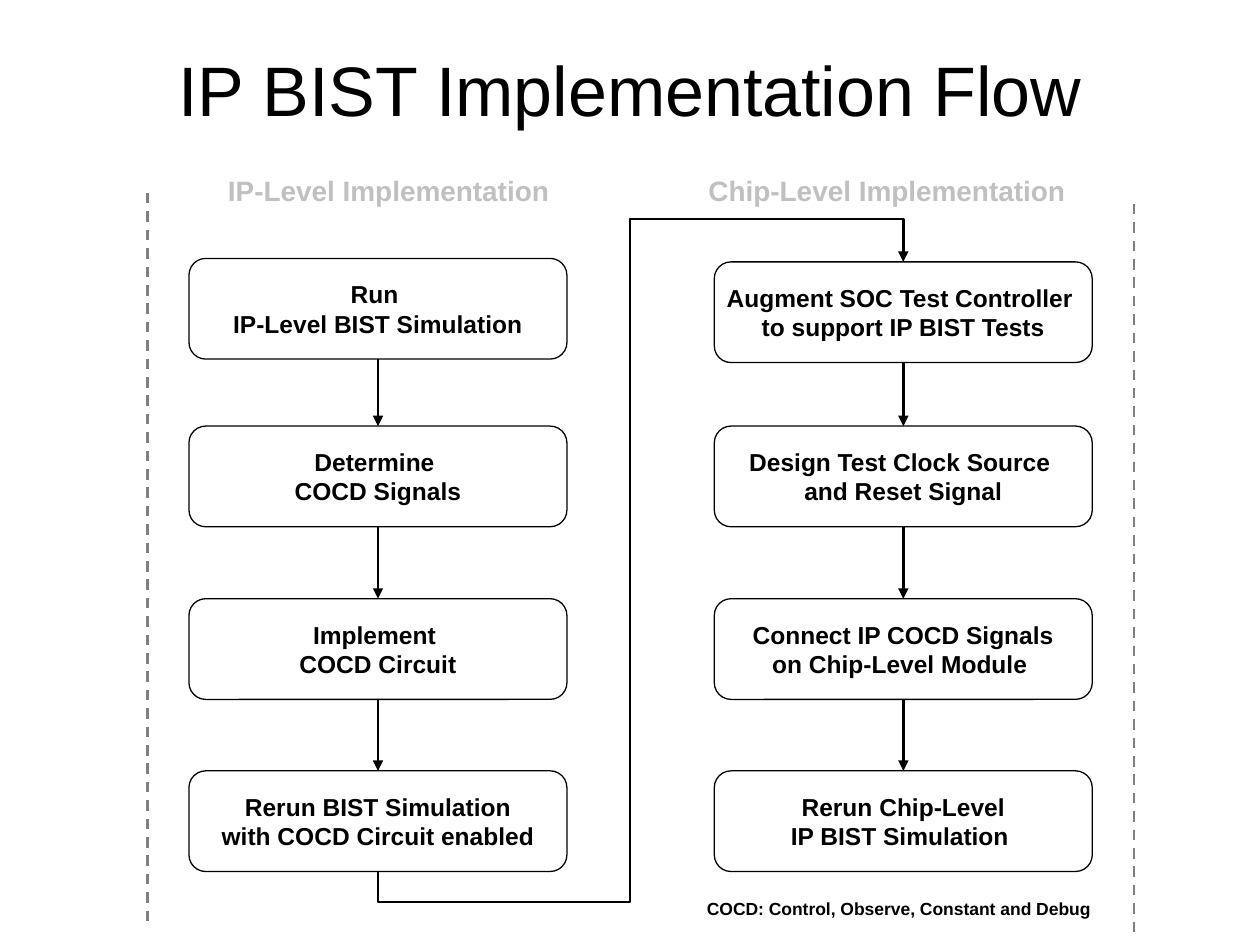
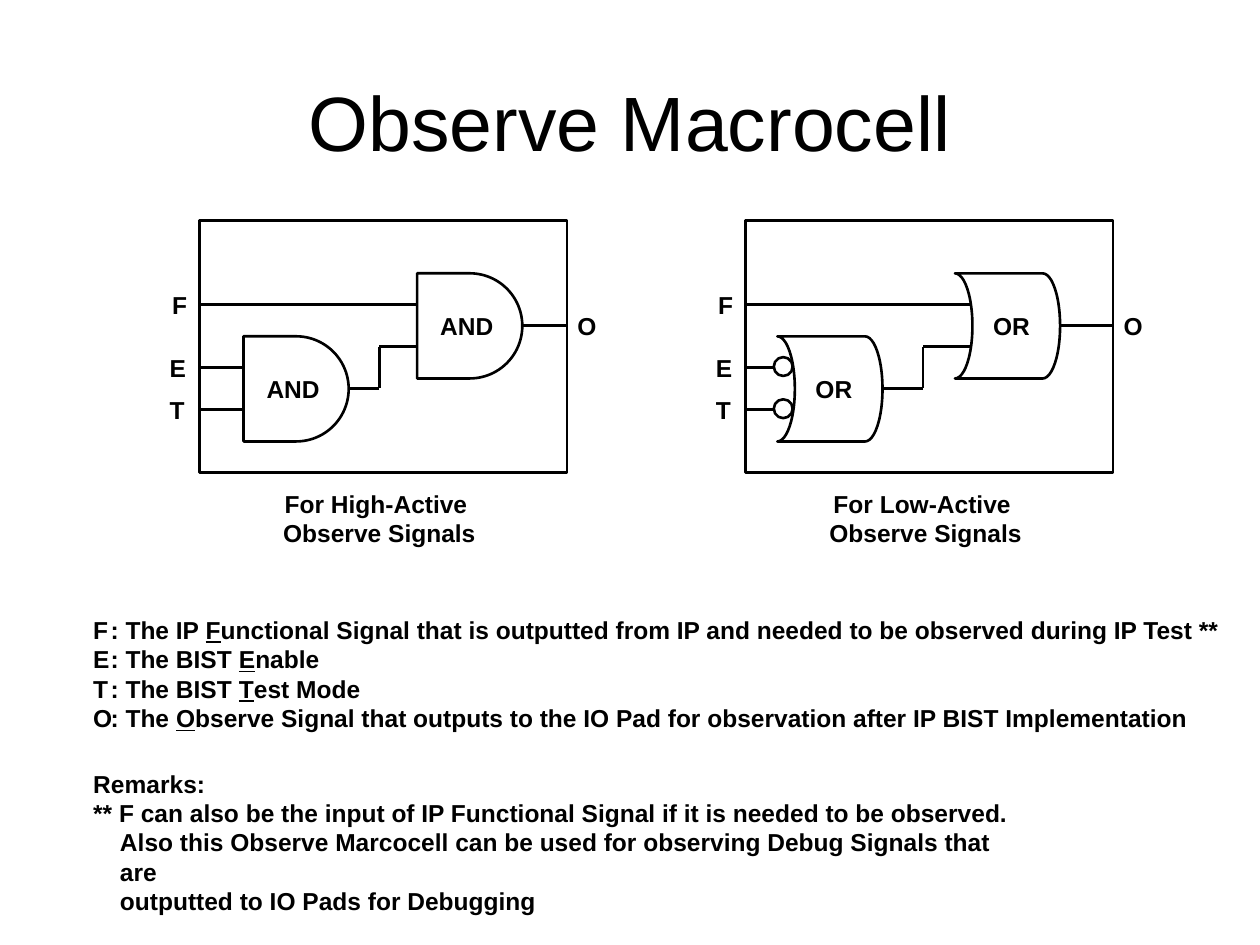
from pptx import Presentation
from pptx.dml.color import RGBColor
from pptx.enum.dml import MSO_LINE
from pptx.enum.shapes import MSO_CONNECTOR, MSO_SHAPE
from pptx.enum.text import MSO_ANCHOR, PP_ALIGN
from pptx.oxml.ns import qn
from pptx.oxml.xmlchemy import OxmlElement
from pptx.util import Cm, Pt

STRAIGHT, ELBOW = MSO_CONNECTOR.STRAIGHT, MSO_CONNECTOR.ELBOW
STEP, FRAME, BUBBLE = MSO_SHAPE.FLOWCHART_ALTERNATE_PROCESS, MSO_SHAPE.RECTANGLE, MSO_SHAPE.OVAL
AND_GATE, OR_GATE = MSO_SHAPE.FLOWCHART_DELAY, MSO_SHAPE.FLOWCHART_STORED_DATA
LEFT, CENTER = PP_ALIGN.LEFT, PP_ALIGN.CENTER
TOP, MIDDLE = MSO_ANCHOR.TOP, MSO_ANCHOR.MIDDLE
BOX_TOP, BOX_BOTTOM = 0, 2

FONT = "Arial"
COLORS = {"ink": "000000", "paper": "FFFFFF", "heading": "C0C0C0", "divider": "808080"}

# Content of the flow slide; all positions are in centimetres
FLOW_TITLE = "IP BIST Implementation Flow"
FLOW_COLUMNS = [
    {"heading": "IP-Level Implementation", "heading_at": (2.97, 9.73),
     "left": 3.81, "tops": (5.21, 8.59, 12.07, 15.54),
     "steps": [("Run ", "IP-Level BIST Simulation"),
               ("Determine ", "COCD Signals"),
               ("Implement ", "COCD Circuit"),
               ("Rerun BIST Simulation", "with COCD Circuit enabled")]},
    {"heading": "Chip-Level Implementation", "heading_at": (12.9, 9.96),
     "left": 14.4, "tops": (5.28, 8.59, 12.07, 15.54),
     "steps": [("Augment SOC Test Controller ", "to support IP BIST Tests"),
               ("Design Test Clock Source ", "and Reset Signal"),
               ("Connect IP COCD Signals", "on Chip-Level Module "),
               ("Rerun Chip-Level", "IP BIST Simulation ")]},
]
STEP_W, STEP_H = 7.62, 2.03
DIVIDERS = [(2.97, 3.89), (22.86, 4.11)]
DIVIDER_LENGTH = 14.73
LINK_BOTTOM, LINK_MIDDLE, LINK_TOP = 18.19, 12.7, 4.42
ABBREVIATION = "COCD: Control, Observe, Constant and Debug"

# Content of the macrocell slide; x positions count from the frame's left side
CELL_TITLE = "Observe Macrocell"
CELLS = [
    {"left": 4.02, "gate": AND_GATE, "label": "AND", "label_shift": -0.06, "rotation": 0,
     "input_gate": 0.89, "output_gate": 4.39, "junction": 3.63, "bubbles": False,
     "caption": ("For High-Active ", "Observe Signals")},
    {"left": 15.03, "gate": OR_GATE, "label": "OR", "label_shift": 0.08, "rotation": 180,
     "input_gate": 0.64, "output_gate": 4.22, "junction": 3.58, "bubbles": True,
     "caption": ("For Low-Active ", "Observe Signals")},
]
FRAME_TOP, FRAME_W, FRAME_H = 4.45, 7.41, 5.08
GATE, BUBBLE_SIZE = 2.12, 0.38
INPUT_GATE_TOP, OUTPUT_GATE_TOP = 6.78, 5.51
WIRE_Y = {"F": 6.14, "E": 7.41, "T": 8.26, "link in": 7.83, "link out": 6.99, "O": 6.56}
PIN_LABELS = [("F", -0.8, 0.81), ("E", -0.85, 0.84), ("T", -0.85, 0.81), ("O", 7.37, 0.89)]
PIN_LABEL_RISE = 0.42
LEGEND = [
    ("F", ": The IP ", "F", "unctional Signal that is outputted from IP and needed "
                            "to be observed during IP Test **"),
    ("E", ": The BIST ", "E", "nable"),
    ("T", ": The BIST ", "T", "est Mode"),
    ("O", ": The ", "O", "bserve Signal that outputs to the IO Pad for observation "
                         "after IP BIST Implementation"),
]
REMARKS = [
    "Remarks:",
    "** F can also be the input of IP Functional Signal if it is needed to be observed.",
    "Also this Observe Marcocell can be used for observing Debug Signals that are",
    "outputted to IO Pads for Debugging",
]
REMARK_INDENT = 0.54


def rgb(name):
    return RGBColor.from_string(COLORS[name])


def write(shape, lines, size=14, align=CENTER, anchor=TOP, color="ink", bold=True, wrap=False):
    """Fill a shape with paragraphs; a line is a string or (before, underlined, after)."""
    frame = shape.text_frame
    frame.word_wrap = wrap
    frame.vertical_anchor = anchor
    for number, line in enumerate(lines):
        paragraph = frame.add_paragraph() if number else frame.paragraphs[0]
        paragraph.alignment = align
        font = paragraph.font
        font.name, font.size, font.bold = FONT, Pt(size), bold
        font.color.rgb = rgb(color)
        parts = (line,) if isinstance(line, str) else line
        for position, part in enumerate(parts):
            run = paragraph.add_run()
            run.text = part
            if position == 1:
                run.font.underline = True
    return frame


def add_text(slide, x, y, w, h, lines, **style):
    return write(slide.shapes.add_textbox(Cm(x), Cm(y), Cm(w), Cm(h)), lines, **style)


def add_title(slide, title, y, size):
    add_text(slide, 1.27, y, 22.86, 3.18, [title], size=size, anchor=MIDDLE, bold=False, wrap=True)


def add_outline(slide, kind, x, y, w, h, width=1.5, filled=True):
    shape = slide.shapes.add_shape(kind, Cm(x), Cm(y), Cm(w), Cm(h))
    shape.shadow.inherit = False
    if filled:
        shape.fill.solid()
        shape.fill.fore_color.rgb = rgb("paper")
    else:
        shape.fill.background()
    shape.line.color.rgb = rgb("ink")
    shape.line.width = Pt(width)
    return shape


def add_line(slide, x1, y1, x2, y2, color="ink", kind=STRAIGHT, dashed=False, arrow=False):
    line = slide.shapes.add_connector(kind, Cm(x1), Cm(y1), Cm(x2), Cm(y2))
    line.line.color.rgb = rgb(color)
    line.line.width = Pt(1.5)
    if dashed:
        line.line.dash_style = MSO_LINE.DASH
    properties = line._element.spPr
    if arrow:
        head = OxmlElement("a:tailEnd")
        head.set("type", "triangle")
        properties.find(qn("a:ln")).append(head)
    properties.append(OxmlElement("a:effectLst"))
    return line


def join(slide, upper, lower, kind=STRAIGHT):
    arrow = add_line(slide, 0, 0, 1, 1, kind=kind, arrow=True)
    arrow.begin_connect(upper, BOX_BOTTOM)
    arrow.end_connect(lower, BOX_TOP)
    return arrow


def add_column_link(slide, last_step, first_step):
    """Route from below the last step, up between the columns, to above the first step."""
    x1, y1 = last_step.left.cm + STEP_W / 2, last_step.top.cm + STEP_H
    x2, y2 = first_step.left.cm + STEP_W / 2, first_step.top.cm
    link = join(slide, last_step, first_step, ELBOW)
    # The route starts downwards, so its box is turned by a quarter and mirrored
    run, rise = x2 - x1, y1 - y2
    link.left, link.top = Cm((x1 + x2 - rise) / 2), Cm((y1 + y2 - run) / 2)
    link.width, link.height = Cm(rise), Cm(run)
    turn = link._element.spPr.find(qn("a:xfrm"))
    for key, value in (("rot", "5400000"), ("flipH", "1"), ("flipV", "1")):
        turn.set(key, value)
    geometry = link._element.spPr.find(qn("a:prstGeom"))
    geometry.set("prst", "bentConnector5")
    guides = geometry.get_or_add_avLst()
    bends = ((y1 - LINK_BOTTOM) / rise, (LINK_MIDDLE - x1) / run, (y1 - LINK_TOP) / rise)
    for number, bend in enumerate(bends, 1):
        guide = OxmlElement("a:gd")
        guide.set("name", f"adj{number}")
        guide.set("fmla", f"val {round(bend * 100000)}")
        guides.append(guide)


def build_flow(slide):
    add_title(slide, FLOW_TITLE, 0.2, 40)
    columns = []
    for column in FLOW_COLUMNS:
        x, w = column["heading_at"]
        add_text(slide, x, 3.38, w, 0.94, [column["heading"]], size=16, color="heading", wrap=True)
        boxes = []
        for top, lines in zip(column["tops"], column["steps"]):
            box = add_outline(slide, STEP, column["left"], top, STEP_W, STEP_H, width=0.75)
            write(box, lines, anchor=MIDDLE)
            boxes.append(box)
        for upper, lower in zip(boxes, boxes[1:]):
            join(slide, upper, lower)
        columns.append(boxes)
    add_column_link(slide, columns[0][-1], columns[1][0])
    for x, top in DIVIDERS:
        add_line(slide, x, top, x, top + DIVIDER_LENGTH, color="divider", dashed=True)
    add_text(slide, 14, 17.98, 8.33, 0.69, [ABBREVIATION], size=10, align=LEFT)


def add_cell(slide, cell):
    left = cell["left"]
    input_x, output_x = left + cell["input_gate"], left + cell["output_gate"]
    junction, right = left + cell["junction"], left + FRAME_W
    y = WIRE_Y

    # Wires run slightly under the gates, which are drawn over them
    wires = [
        (left, y["F"], output_x + 0.4, y["F"]),
        (left, y["E"], input_x + 0.4, y["E"]),
        (left, y["T"], input_x + 0.4, y["T"]),
        (input_x + GATE - 0.1, y["link in"], junction, y["link in"]),
        (junction, y["link in"], junction, y["link out"]),
        (junction, y["link out"], output_x + 0.4, y["link out"]),
        (output_x + GATE - 0.1, y["O"], right, y["O"]),
    ]
    for wire in wires:
        add_line(slide, *wire)
    if cell["bubbles"]:
        for pin in "ET":
            add_outline(slide, BUBBLE, input_x - 0.07, y[pin] - 0.21, BUBBLE_SIZE, BUBBLE_SIZE)

    # Gates
    for x, top in ((input_x, INPUT_GATE_TOP), (output_x, OUTPUT_GATE_TOP)):
        gate = add_outline(slide, cell["gate"], x, top, GATE, GATE)
        gate.rotation = cell["rotation"]
        add_text(slide, x + cell["label_shift"], top + 0.64, GATE, 0.86, [cell["label"]])

    # Frame, pins and caption
    add_outline(slide, FRAME, left, FRAME_TOP, FRAME_W, FRAME_H, filled=False)
    for pin, shift, w in PIN_LABELS:
        add_text(slide, left + shift, y[pin] - PIN_LABEL_RISE, w, 0.86, [pin], align=LEFT)
    add_text(slide, left, 9.73, 7.26, 1.45, cell["caption"], wrap=True)


def build_macrocell(slide):
    add_title(slide, CELL_TITLE, 0.84, 44)
    for cell in CELLS:
        add_cell(slide, cell)
    add_text(slide, 1.63, 12.27, 0.89, 2.64, [key for key, *_ in LEGEND], align=LEFT)
    add_text(slide, 1.98, 12.27, 23.06, 2.64, [parts for _, *parts in LEGEND], align=LEFT)
    remarks = add_text(slide, 1.63, 15.37, 19.48, 2.64, REMARKS, align=LEFT)
    for paragraph in remarks.paragraphs[2:]:
        paragraph._p.get_or_add_pPr().set("marL", str(Cm(REMARK_INDENT)))


def main():
    deck = Presentation()
    deck.slide_width, deck.slide_height = Cm(25.4), Cm(19.05)
    blank = deck.slide_layouts[6]
    for build in (build_flow, build_macrocell):
        build(deck.slides.add_slide(blank))
    deck.save("out.pptx")


if __name__ == "__main__":
    main()
